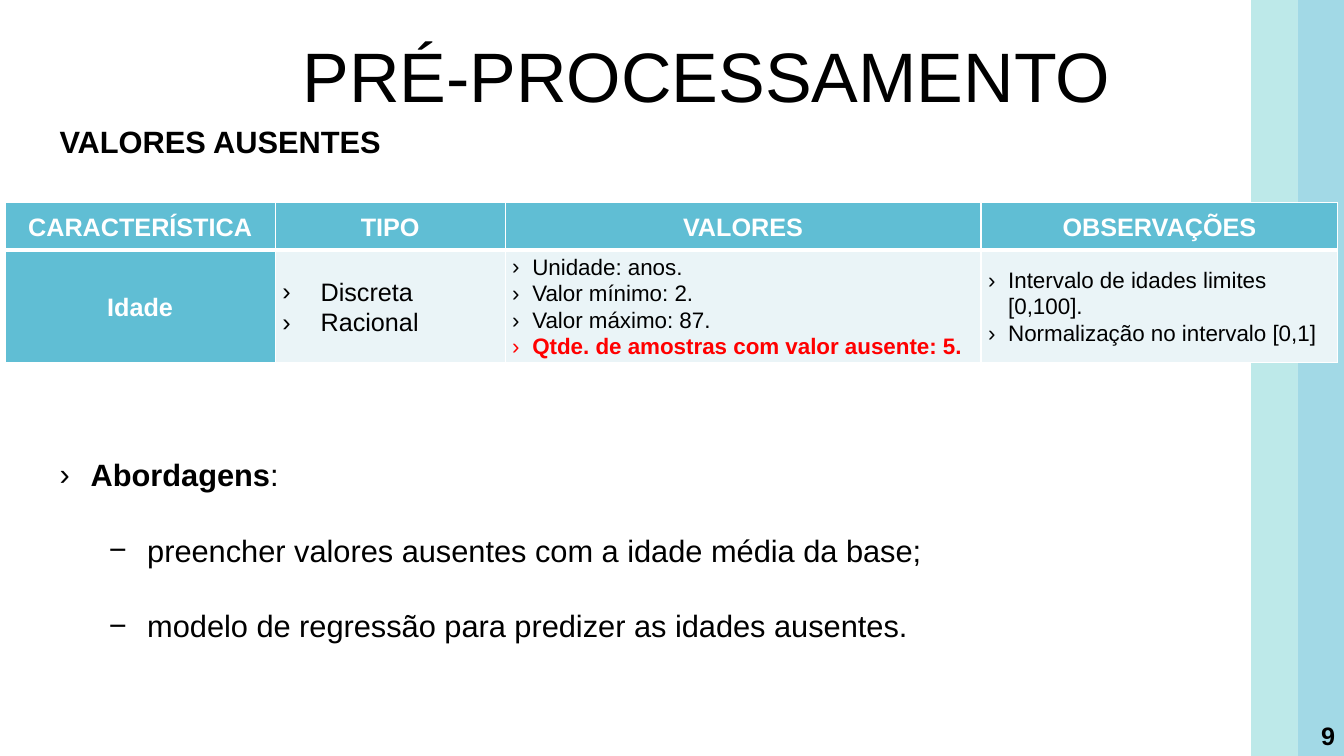
from dataclasses import dataclass

from lxml import etree
from pptx import Presentation
from pptx.dml.color import RGBColor
from pptx.enum.shapes import MSO_SHAPE
from pptx.enum.text import MSO_ANCHOR, MSO_AUTO_SIZE, PP_ALIGN
from pptx.oxml.ns import qn
from pptx.util import Inches, Pt

RECT = MSO_SHAPE.RECTANGLE
TOP, MIDDLE = MSO_ANCHOR.TOP, MSO_ANCHOR.MIDDLE
LEFT, CENTER, RIGHT, JUSTIFY = PP_ALIGN.LEFT, PP_ALIGN.CENTER, PP_ALIGN.RIGHT, PP_ALIGN.JUSTIFY
NO_FIT = MSO_AUTO_SIZE.NONE
FONT = "Arial"
COLORS = {"black": "000000", "white": "FFFFFF", "red": "FF0000",
          "blue": "60BED4", "teal": "8EDADA", "pale": "EAF4F7"}


@dataclass
class Band:
    left: float
    color: str


@dataclass
class Line:
    text: str
    size: float = 18
    color: str = "black"
    bold: bool = False
    align: PP_ALIGN = LEFT
    bullet: str = ""
    margin: float = 0
    hanging: float = 0
    before: float = 0
    spacing: float = 1.0
    tail: str = ""  # plain text after the main run


BANDS = [Band(12.87, "blue"), Band(12.41, "teal")]
COL_WIDTHS = [2.68, 2.28, 4.72, 3.54]
ROW_HEIGHTS = [0.47, 1.12]


def heading(text: str) -> list[Line]:
    return [Line(text, color="white", bold=True, align=CENTER, spacing=1.07)]


def cell_item(text: str, size: float = 16, indent: float = 0.2,
              color: str = "black", bold: bool = False) -> Line:
    return Line(text, size, color, bold, bullet="›", margin=indent, hanging=indent, spacing=1.07)


def approach(text: str) -> Line:
    return Line(text, 22, align=JUSTIFY, bullet="−", margin=0.87, hanging=0.38, before=27.5)


CELLS = [
    [heading(t) for t in ("CARACTERÍSTICA", "TIPO", "VALORES", "OBSERVAÇÕES")],
    [
        heading("Idade"),
        [cell_item(t, 18, 0.38) for t in ("Discreta", "Racional")],
        [cell_item("Unidade: anos."), cell_item("Valor mínimo: 2."), cell_item("Valor máximo: 87."),
         cell_item("Qtde. de amostras com valor ausente: 5.", color="red", bold=True)],
        [cell_item("Intervalo de idades limites [0,100]."), cell_item("Normalização no intervalo [0,1]")],
    ],
]
BODY = [
    Line("VALORES AUSENTES", 22, bold=True),
    Line("Abordagens", 22, bold=True, align=JUSTIFY, bullet="›",
         margin=0.31, hanging=0.31, before=211.5, tail=":"),
    approach("preencher valores ausentes com a idade média da base;"),
    approach("modelo de regressão para predizer as idades ausentes."),
]


def rgb(name: str) -> RGBColor:
    return RGBColor.from_string(COLORS[name])


def write_lines(tf, lines: list[Line]) -> None:
    tf.text = "\n".join(line.text for line in lines)
    for p, line in zip(tf.paragraphs, lines):
        p.alignment = line.align
        p.line_spacing = line.spacing
        p.space_before, p.space_after = Pt(line.before), Pt(0)
        pPr = p._p.get_or_add_pPr()
        pPr.set("marL", str(Inches(line.margin)))
        pPr.set("indent", str(-Inches(line.hanging)))
        if line.bullet:
            etree.SubElement(pPr, qn("a:buFont"), typeface=FONT)
            etree.SubElement(pPr, qn("a:buChar"), char=line.bullet)
        else:
            etree.SubElement(pPr, qn("a:buNone"))
        if line.tail:
            p.add_run().text = line.tail
        for i, r in enumerate(p.runs):
            r.font.name, r.font.size = FONT, Pt(line.size)
            r.font.bold = line.bold and i == 0
            r.font.color.rgb = rgb(line.color)


def place(sp, left: float, top: float, width: float, height: float) -> None:
    sp.left, sp.top = Inches(left), Inches(top)
    sp.width, sp.height = Inches(width), Inches(height)


def fill_frame(sp, lines: list[Line], anchor: MSO_ANCHOR) -> None:
    tf = sp.text_frame
    tf.word_wrap = True
    tf.auto_size = NO_FIT
    tf.vertical_anchor = anchor
    write_lines(tf, lines)


def add_band(s, band: Band) -> None:
    sp = s.shapes.add_shape(RECT, Inches(band.left), 0, Inches(0.46), Inches(7.5))
    sp.shadow.inherit = False
    sp.line.fill.background()
    sp.fill.solid()
    sp.fill.fore_color.rgb = rgb(band.color)
    etree.SubElement(sp._element.spPr.find(".//" + qn("a:srgbClr")), qn("a:alpha"), val="58000")


def set_borders(cell, widths: dict[str, float]) -> None:
    tcPr = cell._tc.get_or_add_tcPr()
    for side, width in widths.items():
        ln = etree.SubElement(tcPr, qn(f"a:ln{side}"), w=str(Pt(width)))
        fill = etree.SubElement(ln, qn("a:solidFill"))
        etree.SubElement(fill, qn("a:srgbClr"), val=COLORS["white"])


def add_feature_table(s) -> None:
    frame = s.shapes.add_table(len(ROW_HEIGHTS), len(COL_WIDTHS), Inches(0.05), Inches(2.01),
                               Inches(sum(COL_WIDTHS)), Inches(sum(ROW_HEIGHTS)))
    table = frame.table
    for col, width in zip(table.columns, COL_WIDTHS):
        col.width = Inches(width)
    for row, height in zip(table.rows, ROW_HEIGHTS):
        row.height = Inches(height)
    for i, row_cells in enumerate(CELLS):
        for j, lines in enumerate(row_cells):
            cell = table.cell(i, j)
            cell.vertical_anchor = MIDDLE
            cell.margin_left = cell.margin_right = Inches(0.07)
            cell.margin_top = cell.margin_bottom = 0
            header = i == 0
            set_borders(cell, {"L": 1, "R": 1, "T": 1 if header else 3, "B": 3 if header else 1})
            cell.fill.solid()
            cell.fill.fore_color.rgb = rgb("blue" if header or j == 0 else "pale")
            write_lines(cell.text_frame, lines)


def main() -> None:
    prs = Presentation()
    prs.slide_width, prs.slide_height = Inches(13.33), Inches(7.5)
    s = prs.slides.add_slide(prs.slide_layouts[1])
    for band in BANDS:
        add_band(s, band)

    number = s.shapes.add_textbox(Inches(12.55), Inches(7.1), Inches(0.79), Inches(0.4))
    fill_frame(number, [Line("9", bold=True, align=RIGHT)], MIDDLE)
    add_feature_table(s)

    title, body = s.shapes.title, s.placeholders[1]
    place(title, 0.68, 0.37, 12.66, 0.79)
    fill_frame(title, [Line("PRÉ-PROCESSAMENTO", 50, align=CENTER, before=10, spacing=0.9)], TOP)
    place(body, 0.49, 1.17, 11.47, 5.28)
    fill_frame(body, BODY, TOP)
    prs.save("out.pptx")


if __name__ == "__main__":
    main()
